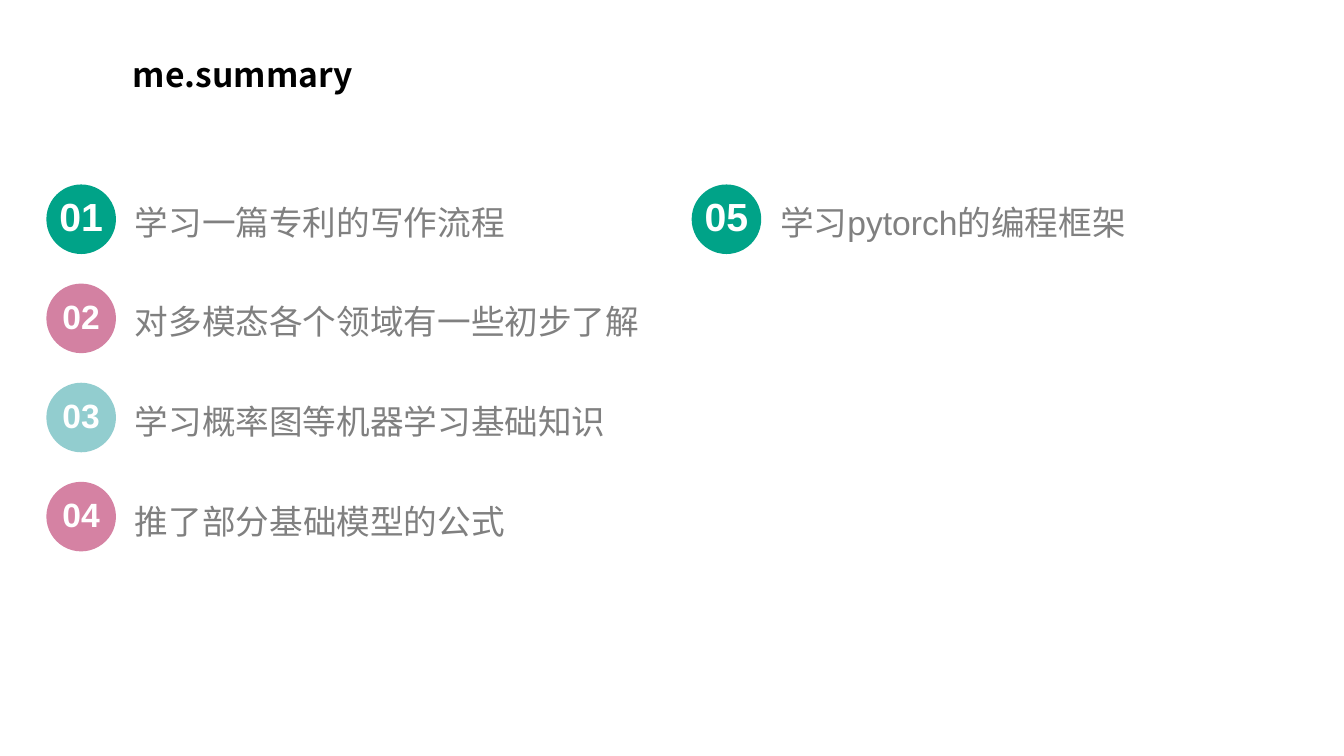
from pptx import Presentation
from pptx.dml.color import RGBColor
from pptx.enum.shapes import MSO_SHAPE as Shape
from pptx.enum.text import MSO_ANCHOR as Anchor, PP_ALIGN as Align
from pptx.oxml.ns import qn
from pptx.util import Inches, Pt
from lxml.etree import SubElement

WHITE = RGBColor(0xFF, 0xFF, 0xFF)
BLACK = RGBColor(0, 0, 0)
GREY = RGBColor(0x80, 0x80, 0x80)
GREEN = RGBColor(0x00, 0xA3, 0x88)
PINK = RGBColor(0xD3, 0x81, 0xA2)
TEAL = RGBColor(0x92, 0xCD, 0xCF)
ROSE = RGBColor(0xD5, 0x82, 0xA3)

CJK = "Noto Sans CJK SC"
ROWS = 4
ITEMS = [
    ("学习一篇专利的写作流程", GREEN, 28, 4.66, 0.88),
    ("对多模态各个领域有一些初步了解", PINK, 24, 5.43, 0.54),
    ("学习概率图等机器学习基础知识", TEAL, 24, 5.37, 0.54),
    ("推了部分基础模型的公式", ROSE, 24, 5.49, 0.54),
    ("学习pytorch的编程框架", GREEN, 28, 4.46, 0.54),
]


def write(frame, text, size, color, bold=False, face="Arial", **form):
    para = frame.paragraphs[0]
    for key, value in form.items():
        setattr(para, key, value)
    run = para.add_run()
    run.text = text
    look = {"size": Pt(size), "bold": bold, "name": face}
    for key, value in look.items():
        setattr(run.font, key, value)
    run.font.color.rgb = color
    SubElement(run.font._element, qn("a:ea"), typeface=CJK)
    return para


def add_text(slide, box, text, size, color, **form):
    frame = slide.shapes.add_textbox(*map(Inches, box)).text_frame
    frame.word_wrap = True
    write(frame, text, size, color, **form)


def add_badge(slide, left, top, label, fill, size):
    side = Inches(0.69)
    badge = slide.shapes.add_shape(
        Shape.OVAL, Inches(left), Inches(top), side, side)
    badge.shadow.inherit = False
    badge.fill.solid()
    badge.fill.fore_color.rgb = fill
    badge.line.fill.background()
    frame = badge.text_frame
    for edge in ("left", "top", "right", "bottom"):
        setattr(frame, f"margin_{edge}", 0)
    frame.vertical_anchor = Anchor.MIDDLE
    para = write(frame, label, size, WHITE, bold=True,
                 alignment=Align.CENTER, line_spacing=0.9)
    after = SubElement(para._p.get_or_add_pPr(), qn("a:spcAft"))
    SubElement(after, qn("a:spcPct"), val="35000")


def main():
    deck = Presentation()
    deck.slide_width, deck.slide_height = Inches(13.33), Inches(7.5)
    slide = deck.slides.add_slide(deck.slide_layouts[6])
    add_text(slide, (1.22, 0.49, 5.7, 0.5), "me.summary", 24, BLACK,
             bold=True, face=CJK)
    for i, (text, fill, size, width, height) in enumerate(ITEMS):
        col, row = divmod(i, ROWS)
        left = 0.46 + 6.4 * col
        add_badge(slide, left, 1.83 + 2.95 * row / 3, f"{i + 1:02}", fill, size)
        add_text(slide, (left + 0.78, 1.87 + 0.99 * row, width, height),
                 text, 24, GREY, alignment=Align.JUSTIFY, line_spacing=1.2)
    deck.save("out.pptx")


if __name__ == "__main__":
    main()
